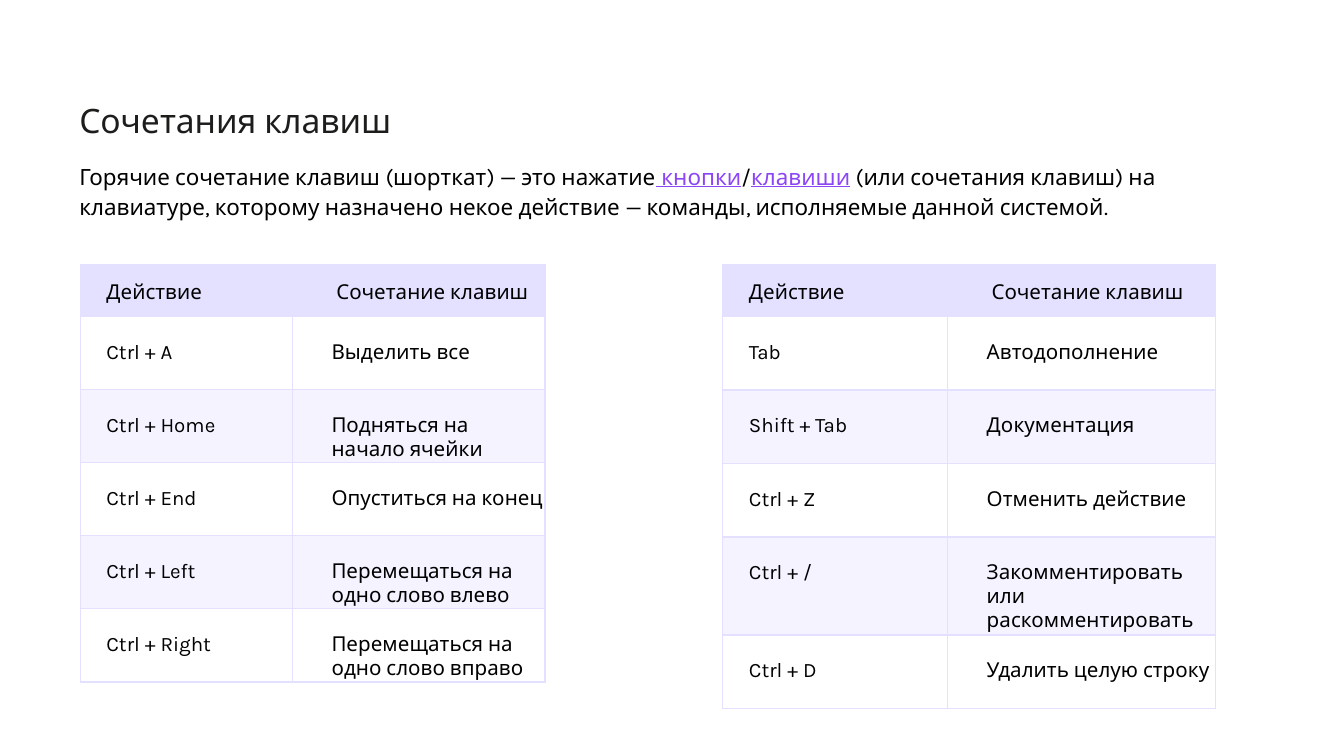
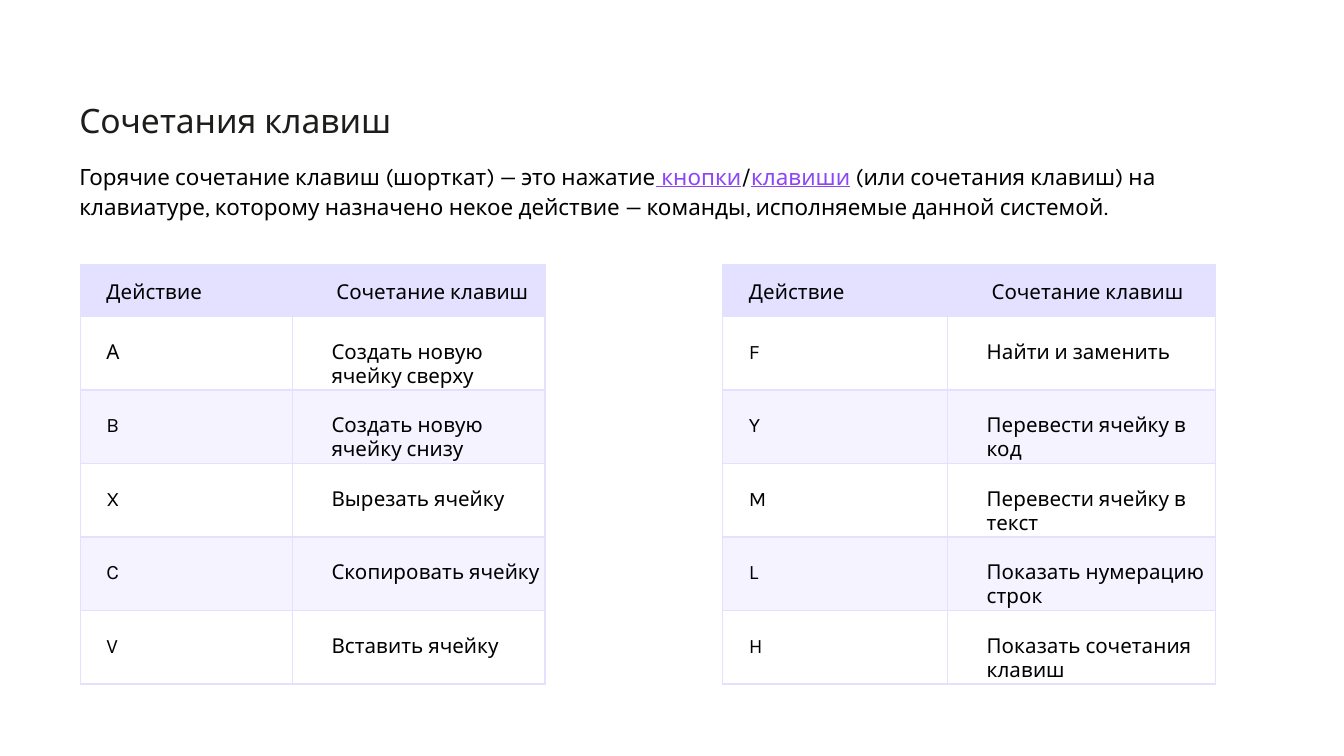
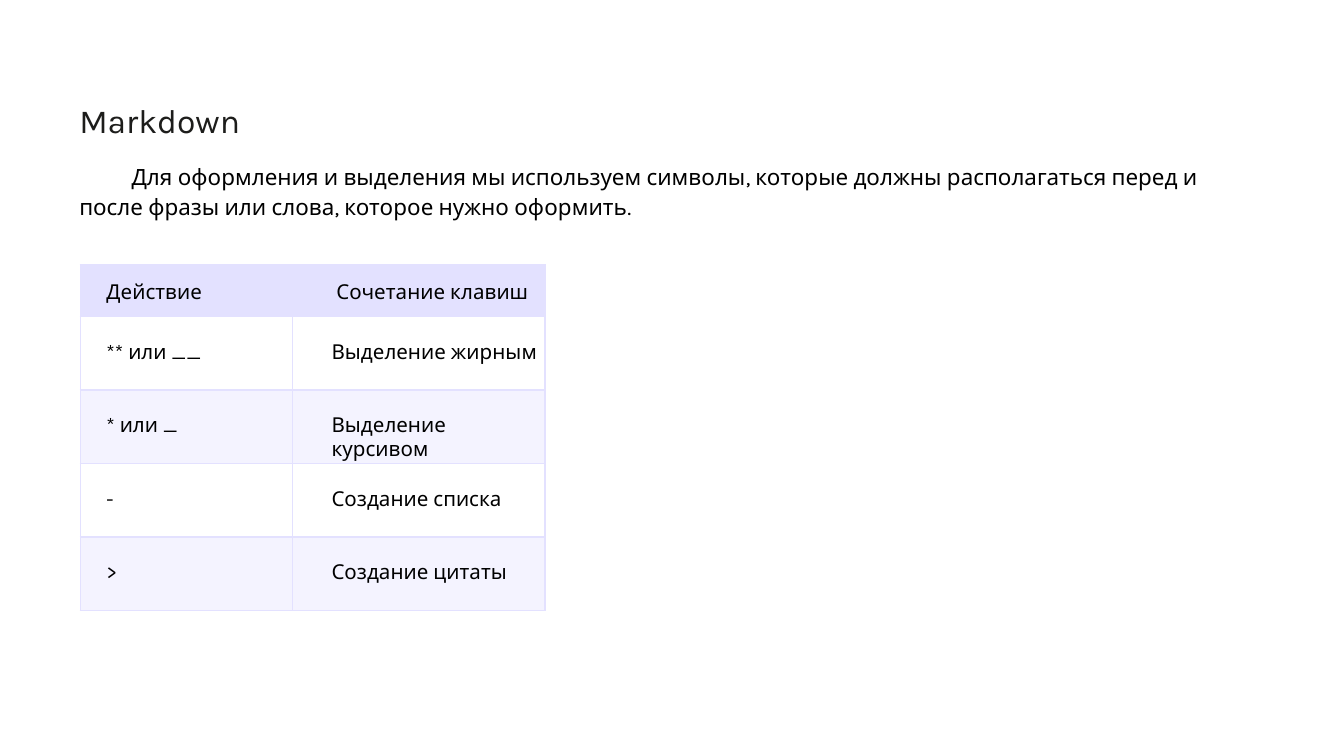
"""Build three slides on keyboard shortcuts and Markdown marks."""
import lxml.etree
import pptx
import pptx.dml.color
import pptx.enum.text
import pptx.oxml.ns
import pptx.util

Pt = pptx.util.Pt
qn = pptx.oxml.ns.qn

COLORS = {"text": "000000", "title": "1D1D1B", "link": "8D46F6", "lilac": "E3E1FF"}
HEADER = ("Действие", " Сочетание клавиш")
LEFT, RIGHT = 43, 387.2
LEFT_COLUMNS, RIGHT_COLUMNS = (113.6, 135.4), (120.4, 143.4)
INDENTS = (14, 21)

SHORTCUT_INTRO = [
    ("Горячие сочетание клавиш (шорткат) — это нажатие", False),
    (" кнопки", True),
    ("/", False),
    ("клавиши", True),
    (" (или сочетания клавиш) на клавиатуре, которому назначено некое действие"
     " — команды, исполняемые данной системой.", False),
]
MARKDOWN_INTRO = [
    ("Для оформления и выделения мы используем символы, которые должны располагаться"
     " перед и после фразы или слова, которое нужно оформить.", False),
]
EDITING_KEYS = [
    ("Ctrl + A", "Выделить все"),
    ("Ctrl + Home", "Подняться на начало ячейки"),
    ("Ctrl + End", "Опуститься на конец"),
    ("Ctrl + Left", "Перемещаться на одно слово влево"),
    ("Ctrl + Right", "Перемещаться на одно слово вправо"),
]
CODE_KEYS = [
    ("Tab", "Автодополнение"),
    ("Shift + Tab", "Документация"),
    ("Ctrl + Z", "Отменить действие"),
    ("Ctrl + /", "Закомментировать или раскомментировать"),
    ("Ctrl + D", "Удалить целую строку"),
]
CELL_KEYS = [
    ("А", "Создать новую ячейку сверху"),
    ("B", "Создать новую ячейку снизу"),
    ("X", "Вырезать ячейку"),
    ("C", "Скопировать ячейку"),
    ("V", "Вставить ячейку"),
]
NOTEBOOK_KEYS = [
    ("F", "Найти и заменить"),
    ("Y", "Перевести ячейку в код"),
    ("M", "Перевести ячейку в текст"),
    ("L", "Показать нумерацию строк"),
    ("H", "Показать сочетания клавиш"),
]
MARKDOWN_MARKS = [
    ("** или __", "Выделение жирным"),
    ("* или _", "Выделение курсивом"),
    ("-", "Создание списка"),
    (">", "Создание цитаты"),
]


class Deck:
    font = "Karla"
    header_height = 27.6
    line_height = 12.86

    def __init__(self):
        self.presentation = pptx.Presentation()
        self.presentation.slide_width = Pt(720)
        self.presentation.slide_height = Pt(405)
        self.slide = None

    def add_slide(self, title, intro, first_line=0):
        self.slide = self.presentation.slides.add_slide(self.presentation.slide_layouts[6])
        self.text([(title, False)], 57, 468, 19, 18, "title", 0.85)
        self.text(intro, 85, 618, 31, 12, "text", 1.15, first_line)

    def style(self, run, size, color="text"):
        run.font.name = self.font
        run.font.size = Pt(size)
        run.font.color.rgb = pptx.dml.color.RGBColor.from_string(COLORS[color])

    def indent(self, paragraph, margin, first_line=0):
        properties = paragraph._p.get_or_add_pPr()
        properties.set("marL", str(Pt(margin)))
        properties.set("indent", str(Pt(first_line)))

    def margins(self, holder, top=0):
        holder.margin_left = holder.margin_right = holder.margin_bottom = 0
        holder.margin_top = Pt(top)

    def text(self, parts, top, width, height, size, color, spacing, first_line=0):
        shape = self.slide.shapes.add_textbox(Pt(42.5), Pt(top), Pt(width), Pt(height))
        frame = shape.text_frame
        frame.word_wrap = True
        frame.auto_size = pptx.enum.text.MSO_AUTO_SIZE.SHAPE_TO_FIT_TEXT
        self.margins(frame)
        paragraph = frame.paragraphs[0]
        paragraph.line_spacing = spacing
        self.indent(paragraph, 0, first_line)
        for words, is_link in parts:
            run = paragraph.add_run()
            run.text = words
            self.style(run, size, "link" if is_link else color)
            run.font.underline = is_link

    def borders(self, cell):
        properties = cell._tc.get_or_add_tcPr()
        for position, side in enumerate(("lnL", "lnR", "lnT", "lnB")):
            line = lxml.etree.Element(qn("a:" + side), w=str(Pt(0.75)))
            fill = lxml.etree.SubElement(line, qn("a:solidFill"))
            lxml.etree.SubElement(fill, qn("a:srgbClr"), val=COLORS["lilac"])
            properties.insert(position, line)

    def fill(self, cell, row):
        if row % 2:
            cell.fill.background()
            return
        cell.fill.solid()
        cell.fill.fore_color.rgb = pptx.dml.color.RGBColor.from_string(COLORS["lilac"])
        if row:
            color = cell._tc.tcPr.find(".//" + qn("a:srgbClr"))
            lxml.etree.SubElement(color, qn("a:alpha"), val="38000")

    def cell(self, cell, words, row, margin):
        cell.text_frame.text = words
        paragraph = cell.text_frame.paragraphs[0]
        self.indent(paragraph, margin)
        self.style(paragraph.runs[0], 11)
        self.margins(cell, self.line_height if row else 1.5)
        anchors = pptx.enum.text.MSO_ANCHOR
        cell.vertical_anchor = anchors.TOP if row else anchors.MIDDLE
        self.fill(cell, row)
        self.borders(cell)

    def table(self, entries, left, widths, row_height=39.4):
        rows = [HEADER, *entries]
        height = self.header_height + row_height * len(entries)
        shape = self.slide.shapes.add_table(
            len(rows), len(widths), Pt(left), Pt(142), Pt(sum(widths)), Pt(height))
        table = shape.table
        table.first_row = table.horz_banding = False
        for column, width in zip(table.columns, widths):
            column.width = Pt(width)
        for row, values in enumerate(rows):
            table.rows[row].height = Pt(row_height if row else self.header_height)
            for column, words in enumerate(values):
                self.cell(table.cell(row, column), words, row, INDENTS[column])


def main():
    deck = Deck()
    deck.add_slide("Сочетания клавиш", SHORTCUT_INTRO)
    deck.table(EDITING_KEYS, LEFT, LEFT_COLUMNS, 39)
    deck.table(CODE_KEYS, RIGHT, RIGHT_COLUMNS)

    deck.add_slide("Сочетания клавиш", SHORTCUT_INTRO)
    deck.table(CELL_KEYS, LEFT, LEFT_COLUMNS)
    deck.table(NOTEBOOK_KEYS, RIGHT, RIGHT_COLUMNS)

    deck.add_slide("Markdown", MARKDOWN_INTRO, first_line=28)
    deck.table(MARKDOWN_MARKS, LEFT, LEFT_COLUMNS)
    deck.presentation.save("out.pptx")


if __name__ == "__main__":
    main()
